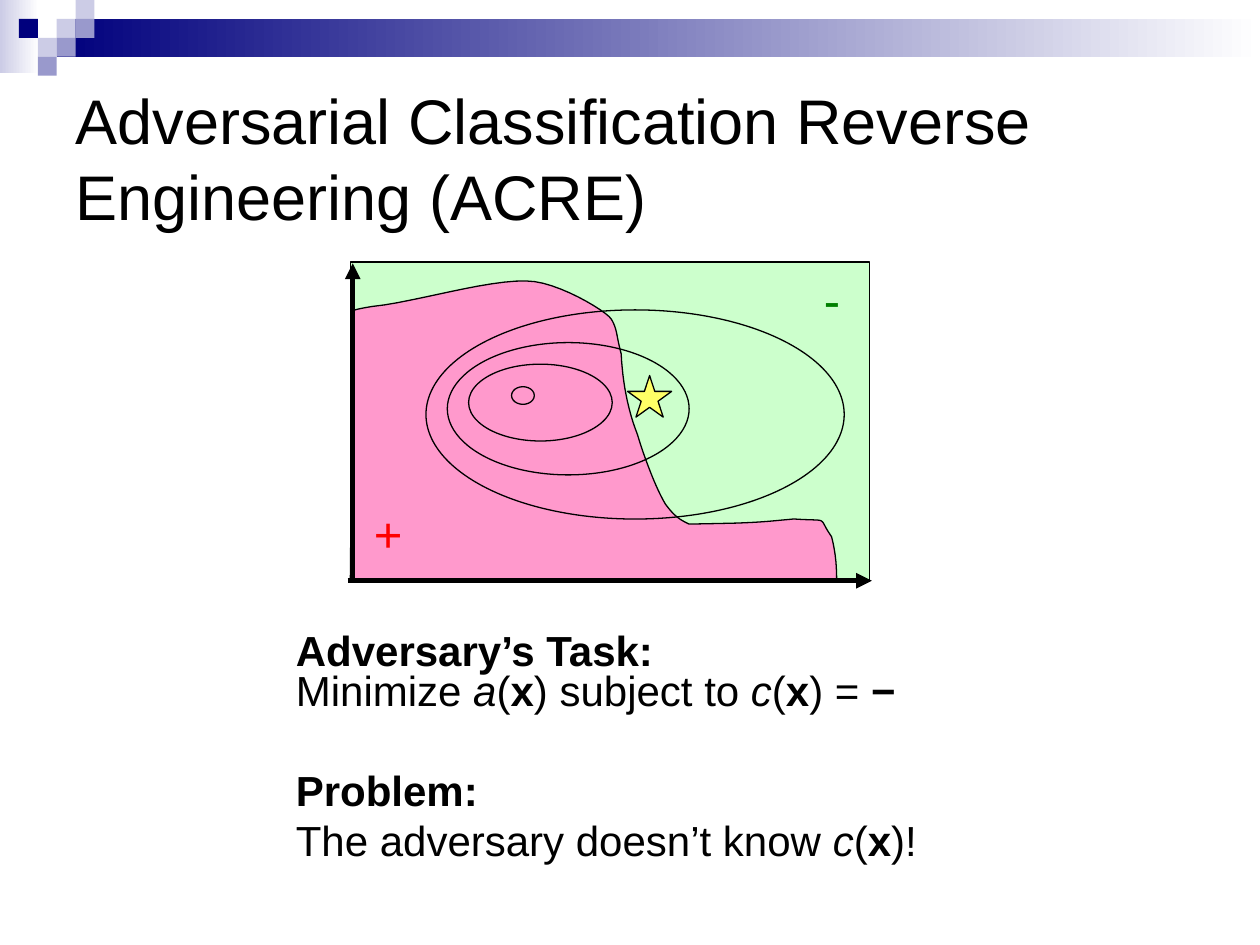
from typing import NamedTuple, Optional

from lxml import etree
from pptx import Presentation
from pptx.dml.color import RGBColor
from pptx.enum.shapes import MSO_CONNECTOR, MSO_SHAPE
from pptx.enum.text import MSO_ANCHOR, MSO_AUTO_SIZE, PP_ALIGN
from pptx.oxml.ns import qn
from pptx.util import Pt

RECTANGLE, OVAL, STAR = MSO_SHAPE.RECTANGLE, MSO_SHAPE.OVAL, MSO_SHAPE.STAR_5_POINT
STRAIGHT = MSO_CONNECTOR.STRAIGHT
FONT = "Arial"

BLACK = RGBColor(0x00, 0x00, 0x00)
WHITE = RGBColor(0xFF, 0xFF, 0xFF)
NAVY = RGBColor(0x00, 0x00, 0x7D)
LAVENDER = RGBColor(0xCC, 0xCC, 0xE6)
VIOLET = RGBColor(0x99, 0x99, 0xCC)
GREEN = RGBColor(0xCC, 0xFF, 0xCC)
PINK = RGBColor(0xFF, 0x99, 0xCC)
YELLOW = RGBColor(0xFF, 0xFF, 0x66)
RED = RGBColor(0xFF, 0x00, 0x00)
DARK_GREEN = RGBColor(0x00, 0x80, 0x00)


class Box(NamedTuple):
    left: float
    top: float
    width: float
    height: float


class TextRun(NamedTuple):
    text: str
    bold: bool = False
    italic: bool = False


class TextBlock(NamedTuple):
    space_before: float
    lines: list


class Label(NamedTuple):
    text: str
    box: Box
    color: RGBColor


class Square(NamedTuple):
    column: int
    row: int
    color: RGBColor


class Axis(NamedTuple):
    start: tuple
    end: tuple


SQUARE_SIZE = 10.8
SQUARES = [
    Square(3, 1, LAVENDER), Square(4, 0, LAVENDER), Square(4, 1, VIOLET),
    Square(2, 2, LAVENDER), Square(1, 1, NAVY), Square(3, 2, VIOLET),
    Square(2, 3, VIOLET),
]

# Region border: a start point, then two control points and an end per curve
REGION_START = (200.2, 332.6)
REGION_CURVES = [
    ((200.9, 280.8), (200.2, 229.7), (201.6, 177.8)),
    ((201.6, 177.1), (208.8, 175.7), (213.8, 175)),
    ((236.2, 172.8), (278.6, 159.8), (301, 160.6)),
    ((318.2, 160.6), (346.3, 177.8), (349.2, 182.2)),
    ((352.8, 187.9), (352.1, 191.5), (355, 202.3)),
    ((355.7, 217.4), (358.6, 234), (364.3, 248.4)),
    ((368.6, 262.8), (375.1, 279.4), (380.2, 288)),
    ((384.5, 293.8), (387.4, 296.6), (393.8, 299.5)),
    ((431.3, 298.8), (429.8, 298.8), (453.6, 296.6)),
    ((475.2, 298.1), (466.6, 294.5), (475.2, 306.7)),
    ((477.4, 315.4), (478.1, 322.6), (478.1, 331.2)),
]
CURVE_STEPS = 12

COST_CONTOURS = [
    Box(292.3, 221, 13, 10.1), Box(267.8, 208.1, 82.1, 43.9),
    Box(255.6, 195.8, 138.2, 75.6), Box(243.4, 177.1, 239, 119.5),
]
AXES = [Axis((201.6, 331.9), (201.6, 150.5)), Axis((198.7, 331.9), (498.2, 331.9))]
LABELS = [
    Label("+", Box(206.6, 284.4, 30.2, 41), RED),
    Label("-", Box(463.7, 150.5, 23.8, 41), DARK_GREEN),
]
TASK_BLOCKS = [
    TextBlock(6, [
        [TextRun("Adversary’s Task:", bold=True)],
        [TextRun("Minimize "), TextRun("a", italic=True), TextRun("("),
         TextRun("x", bold=True), TextRun(") subject to "),
         TextRun("c", italic=True), TextRun("("), TextRun("x", bold=True),
         TextRun(") = "), TextRun("−", bold=True)],
    ]),
    TextBlock(34, [[TextRun("Problem:", bold=True)]]),
    TextBlock(6, [[
        TextRun("The adversary doesn’t know "), TextRun("c", italic=True),
        TextRun("("), TextRun("x", bold=True), TextRun(")!"),
    ]]),
]


def points(values) -> list:
    return [Pt(value) for value in values]


def style_shape(shape, fill: Optional[RGBColor], outlined: bool) -> None:
    shape.shadow.inherit = False
    if fill is None:
        shape.fill.background()
    else:
        shape.fill.solid()
        shape.fill.fore_color.rgb = fill
    if outlined:
        shape.line.color.rgb = BLACK
        shape.line.width = Pt(0.75)
    else:
        shape.line.fill.background()


def draw_shape(slide, kind, box: Box, fill: Optional[RGBColor] = None,
               outlined: bool = True):
    shape = slide.shapes.add_shape(kind, *points(box))
    style_shape(shape, fill, outlined)
    return shape


def draw_fading_band(slide, box: Box, color: RGBColor) -> None:
    band = draw_shape(slide, RECTANGLE, box, color, outlined=False)
    band.fill.gradient()
    band.fill.gradient_angle = 0
    for stop, stop_color in zip(band.fill.gradient_stops, (color, WHITE)):
        stop.color.rgb = stop_color


def curve_points(start: tuple, curve: tuple) -> list:
    """Sample one cubic curve, leaving out its start point."""
    sampled = []
    for step in range(1, CURVE_STEPS + 1):
        t = step / CURVE_STEPS
        weights = ((1 - t) ** 3, 3 * t * (1 - t) ** 2, 3 * t * t * (1 - t), t ** 3)
        sampled.append(tuple(
            sum(weight * value for weight, value in zip(weights, values))
            for values in zip(start, *curve)))
    return sampled


def draw_region(slide) -> None:
    border, start = [], REGION_START
    for curve in REGION_CURVES:
        border += curve_points(start, curve)
        start = curve[-1]
    builder = slide.shapes.build_freeform(*points(REGION_START))
    builder.add_line_segments([points(point) for point in border], close=True)
    style_shape(builder.convert_to_shape(), PINK, outlined=True)


def draw_axis(slide, axis: Axis) -> None:
    connector = slide.shapes.add_connector(STRAIGHT, *points(axis.start + axis.end))
    connector.line.color.rgb = BLACK
    connector.line.width = Pt(3)
    line = connector.line._get_or_add_ln()
    etree.SubElement(line, qn("a:tailEnd"), type="triangle")
    etree.SubElement(connector._element.spPr, qn("a:effectLst"))


def add_run(paragraph, text_run: TextRun, size: float, color: RGBColor) -> None:
    run = paragraph.add_run()
    run.text = text_run.text
    run.font.name, run.font.size = FONT, Pt(size)
    run.font.bold, run.font.italic = text_run.bold, text_run.italic
    run.font.color.rgb = color


def add_title(slide, text: str) -> None:
    title = slide.shapes.title
    title.left, title.top, title.width, title.height = points(Box(36, 36, 648, 108))
    frame = title.text_frame
    frame.auto_size = MSO_AUTO_SIZE.NONE
    frame.vertical_anchor = MSO_ANCHOR.MIDDLE
    frame.paragraphs[0].alignment = PP_ALIGN.LEFT
    add_run(frame.paragraphs[0], TextRun(text), 36, BLACK)


def add_label(slide, label: Label) -> None:
    frame = slide.shapes.add_textbox(*points(label.box)).text_frame
    frame.word_wrap = False
    add_run(frame.paragraphs[0], TextRun(label.text), 28, label.color)


def add_task_text(slide, box: Box) -> None:
    frame = slide.shapes.add_textbox(*points(box)).text_frame
    frame.word_wrap = True
    for index, block in enumerate(TASK_BLOCKS):
        paragraph = frame.add_paragraph() if index else frame.paragraphs[0]
        paragraph.line_spacing = 0.8
        paragraph.space_before = Pt(block.space_before)
        for line_index, line in enumerate(block.lines):
            if line_index:
                paragraph.add_line_break()
            for text_run in line:
                add_run(paragraph, text_run, 24, BLACK)


def main() -> None:
    presentation = Presentation()
    presentation.slide_width, presentation.slide_height = Pt(720), Pt(540)
    slide = presentation.slides.add_slide(presentation.slide_layouts[5])

    # Header decoration
    draw_fading_band(slide, Box(0, 0, 22.3, 41.8), LAVENDER)
    draw_fading_band(slide, Box(32.4, 10.8, 687.6, 21.6), NAVY)
    for square in SQUARES:
        box = Box(square.column * SQUARE_SIZE, square.row * SQUARE_SIZE,
                  SQUARE_SIZE, SQUARE_SIZE)
        draw_shape(slide, RECTANGLE, box, square.color, outlined=False)
    add_title(slide, "Adversarial Classification Reverse Engineering (ACRE)")

    # Classifier diagram
    draw_shape(slide, RECTANGLE, Box(200.2, 149.8, 296.6, 182.2), GREEN)
    draw_region(slide)
    for axis in AXES:
        draw_axis(slide, axis)
    for contour in COST_CONTOURS:
        draw_shape(slide, OVAL, contour)
    for label in LABELS:
        add_label(slide, label)
    draw_shape(slide, STAR, Box(358.6, 214.6, 25.2, 23.8), YELLOW)

    # Task and problem
    add_task_text(slide, Box(162, 358.6, 444.2, 140.4))
    presentation.save("out.pptx")


if __name__ == "__main__":
    main()
